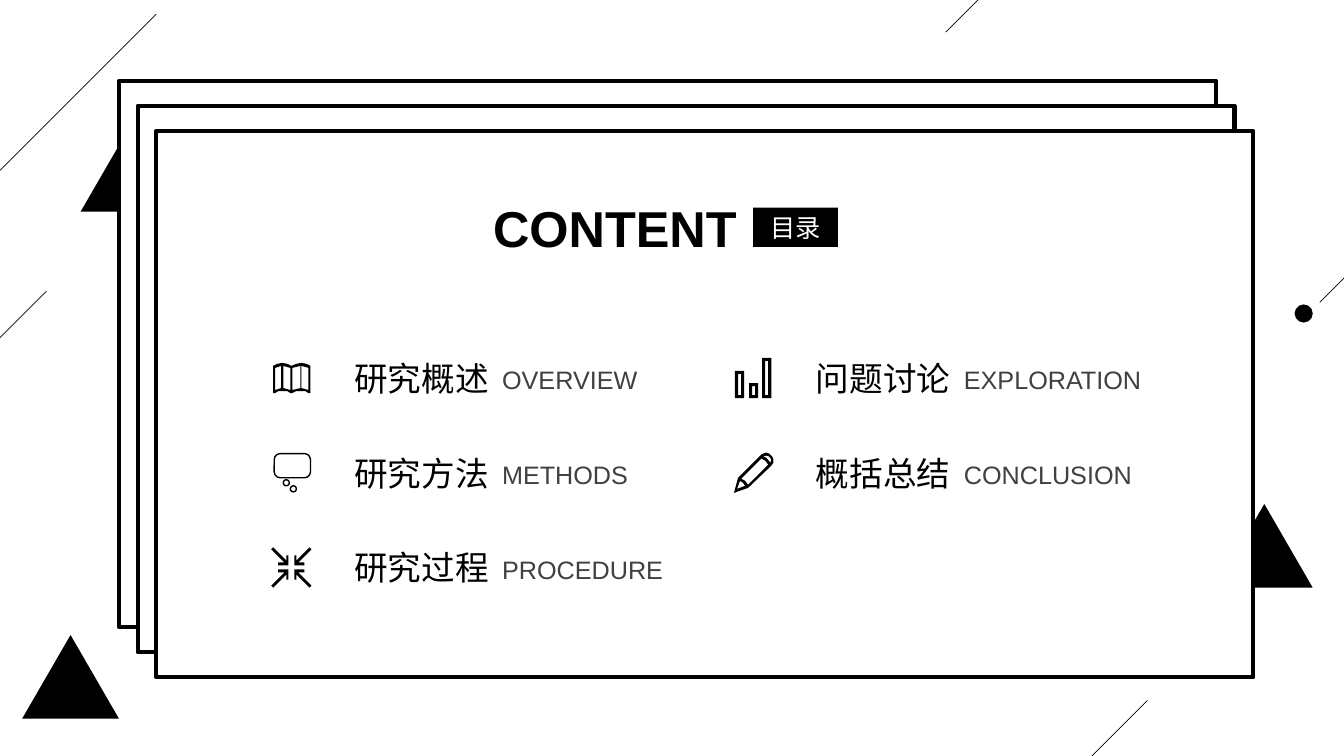
import lxml.etree
import pptx
import pptx.dml.color
import pptx.enum.shapes
import pptx.enum.text
import pptx.oxml.ns
import pptx.util

Inches = pptx.util.Inches
Pt = pptx.util.Pt
SHAPE = pptx.enum.shapes.MSO_SHAPE
ALIGN = pptx.enum.text.PP_ALIGN
ANCHOR = pptx.enum.text.MSO_ANCHOR
COLORS = {"black": "000000", "white": "FFFFFF", "gray": "404040"}


def paint(shape, fill="black", line_width=0):
    """Give a shape a flat fill and, if line_width is set, a black outline."""
    shape.shadow.inherit = False
    shape.fill.solid()
    shape.fill.fore_color.rgb = pptx.dml.color.RGBColor.from_string(COLORS[fill])
    if line_width:
        shape.line.width = Pt(line_width)
        shape.line.color.rgb = pptx.dml.color.RGBColor.from_string(COLORS["black"])
    else:
        shape.line.fill.background()


def write(shape, text, size=18, color="black", bold=False, align=ALIGN.LEFT,
          anchor=ANCHOR.TOP, side_margin=0.1):
    frame = shape.text_frame
    frame.word_wrap = True
    frame.auto_size = pptx.enum.text.MSO_AUTO_SIZE.NONE
    frame.vertical_anchor = anchor
    frame.margin_left = frame.margin_right = Inches(side_margin)
    frame.margin_top = frame.margin_bottom = Inches(0.05)
    paragraph = frame.paragraphs[0]
    paragraph.alignment = align
    paragraph.line_spacing = 1.0
    run = paragraph.add_run()
    run.text = text
    run.font.name = "Arial"
    run.font.size = Pt(size)
    run.font.bold = bold
    run.font.color.rgb = pptx.dml.color.RGBColor.from_string(COLORS[color])


presentation = pptx.Presentation()
presentation.slide_width = Inches(13.33)
presentation.slide_height = Inches(7.5)
slide = presentation.slides.add_slide(presentation.slide_layouts[5])
shapes = slide.shapes
title = shapes.title

# Triangles, the first two partly behind the frames
triangles = []
for left, top in [(12.06, 5), (0.8, 1.27), (0.22, 6.3)]:
    triangle = shapes.add_shape(SHAPE.ISOSCELES_TRIANGLE, Inches(left), Inches(top),
                                Inches(0.96), Inches(0.83))
    paint(triangle)

# Stacked frames
for layer in range(3):
    frame_box = shapes.add_shape(SHAPE.RECTANGLE, Inches(1.18 + 0.185 * layer),
                                 Inches(0.8 + 0.25 * layer), Inches(10.88), Inches(5.42))
    paint(frame_box, "white", 3)

# Heading, brought in front of the frames
title.left, title.top = Inches(4.79), Inches(1.91)
title.width, title.height = Inches(3.23), Inches(0.71)
write(title, "CONTENT", size=36, bold=True)
shapes._spTree.append(title._element)
tag = shapes.add_shape(SHAPE.RECTANGLE, Inches(7.47), Inches(2.06), Inches(0.84), Inches(0.39))
paint(tag)
write(tag, "目录", color="white", align=ALIGN.CENTER, anchor=ANCHOR.MIDDLE)

# Contents, filled column by column
entries = [
    ("研究概述", "OVERVIEW"),
    ("研究方法", "METHODS"),
    ("研究过程", "PROCEDURE"),
    ("问题讨论", "EXPLORATION"),
    ("概括总结", "CONCLUSION"),
]
for index, (chinese, english) in enumerate(entries):
    column, row = divmod(index, 3)
    left, top = 3.25 + 4.58 * column, 3.5 + 0.94 * row
    label = shapes.add_textbox(Inches(left), Inches(top), Inches(1.86), Inches(0.5))
    write(label, chinese, size=24, align=ALIGN.CENTER, side_margin=0)
    caption = shapes.add_textbox(Inches(left + 1.73), Inches(top + 0.07),
                                 Inches(2.68), Inches(0.4))
    write(caption, english, color="gray", side_margin=0)

# Icon outlines; an inner contour cuts a hole in the outer one
folded_map = [
    [(2.71, 3.63), (2.75, 3.61), (2.8, 3.6), (2.85, 3.61), (2.89, 3.63), (2.94, 3.61),
     (2.99, 3.6), (3.04, 3.61), (3.08, 3.63), (3.08, 3.9), (3.06, 3.9), (3.03, 3.88),
     (2.98, 3.88), (2.94, 3.88), (2.9, 3.9), (2.88, 3.9), (2.85, 3.88), (2.8, 3.88),
     (2.76, 3.88), (2.73, 3.9), (2.71, 3.9)],
    [(2.73, 3.65), (2.79, 3.63), (2.79, 3.85), (2.73, 3.87)],
    [(2.81, 3.63), (2.88, 3.65), (2.88, 3.87), (2.81, 3.85)],
    [(2.9, 3.65), (2.98, 3.63), (2.98, 3.85), (2.9, 3.87)],
    [(2.99, 3.63), (3.06, 3.65), (3.06, 3.87), (2.99, 3.85)],
]
pencil = [
    [(7.28, 4.89), (7.32, 4.74), (7.55, 4.51), (7.57, 4.5), (7.6, 4.49), (7.63, 4.5),
     (7.66, 4.53), (7.67, 4.56), (7.67, 4.59), (7.65, 4.62), (7.42, 4.84)],
    [(7.34, 4.77), (7.31, 4.85), (7.39, 4.82), (7.37, 4.79)],
    [(7.55, 4.55), (7.35, 4.75), (7.39, 4.77), (7.42, 4.81), (7.62, 4.61), (7.59, 4.57)],
    [(7.57, 4.53), (7.6, 4.54), (7.64, 4.59), (7.65, 4.56), (7.63, 4.53), (7.6, 4.52)],
]
bars = []
for left, top in [(7.29, 3.68), (7.43, 3.8), (7.56, 3.55)]:
    for inset in (0, 0.03):
        x1, x2 = left + inset, left + 0.09 - inset
        y1, y2 = top + inset, 3.95 - inset
        bars.append([(x1, y1), (x2, y1), (x2, y2), (x1, y2)])
arrow = [(0.03, 0.02), (0.13, 0.02), (0.13, 0.05), (0.07, 0.05), (0.2, 0.18), (0.18, 0.2),
         (0.05, 0.07), (0.05, 0.12), (0.03, 0.12)]
inward_arrows = [
    [(2.89 + x_sign * x, 5.63 + y_sign * y) for x, y in arrow]
    for x_sign in (-1, 1) for y_sign in (-1, 1)
]
for contours in (folded_map, bars, pencil, inward_arrows):
    builder = None
    for contour in contours:
        points = [(Inches(x), Inches(y)) for x, y in contour]
        if builder is None:
            builder = shapes.build_freeform(*points[0])
        else:
            builder.move_to(*points[0])
        builder.add_line_segments(points[1:], close=True)
    paint(builder.convert_to_shape())

# Thought bubble icon
for kind, left, top, width, height in [
    (SHAPE.ROUNDED_RECTANGLE, 2.72, 4.5, 0.36, 0.24),
    (SHAPE.OVAL, 2.81, 4.76, 0.06, 0.06),
    (SHAPE.OVAL, 2.88, 4.82, 0.06, 0.06),
]:
    bubble = shapes.add_shape(kind, Inches(left), Inches(top), Inches(width), Inches(height))
    paint(bubble, "white", 1)
    if kind == SHAPE.ROUNDED_RECTANGLE:
        bubble.adjustments[0] = 0.25

# Diagonal strokes rising to the right, and the dot beside the last one
for left, bottom, span in [(0, 1.69, 1.55), (-1.09, 4.44, 1.55), (9.38, 0.32, 1.55),
                           (9.83, 8.5, 1.55), (13.09, 3, 0.56)]:
    stroke = shapes.add_connector(pptx.enum.shapes.MSO_CONNECTOR.STRAIGHT, Inches(left),
                                  Inches(bottom), Inches(left + span), Inches(bottom - span))
    stroke.line.width = Pt(0.5)
    stroke.line.color.rgb = pptx.dml.color.RGBColor.from_string(COLORS["black"])
    lxml.etree.SubElement(stroke._element.spPr, pptx.oxml.ns.qn("a:effectLst"))
dot = shapes.add_shape(SHAPE.OVAL, Inches(12.84), Inches(3.02), Inches(0.18), Inches(0.18))
paint(dot)

presentation.save("out.pptx")
